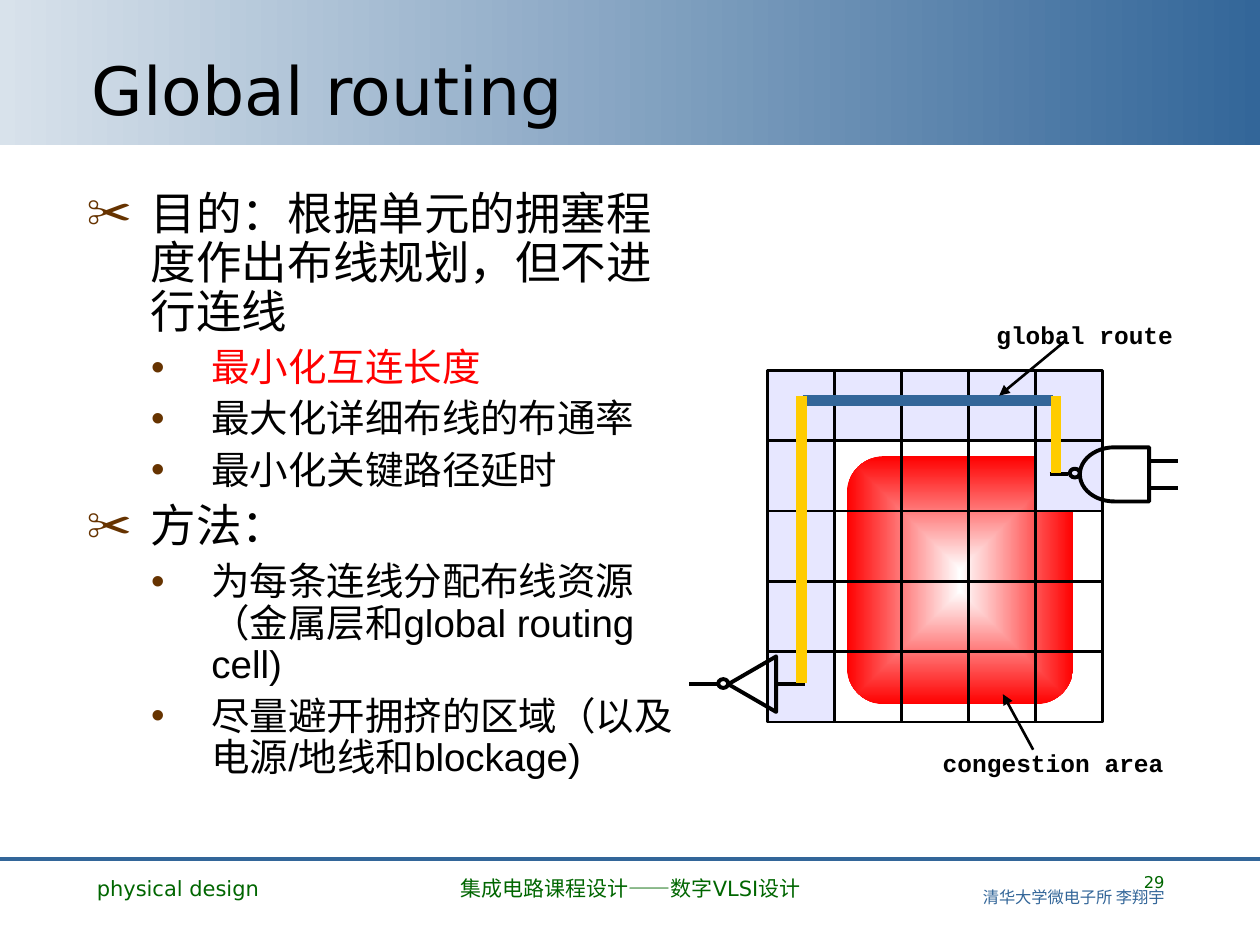
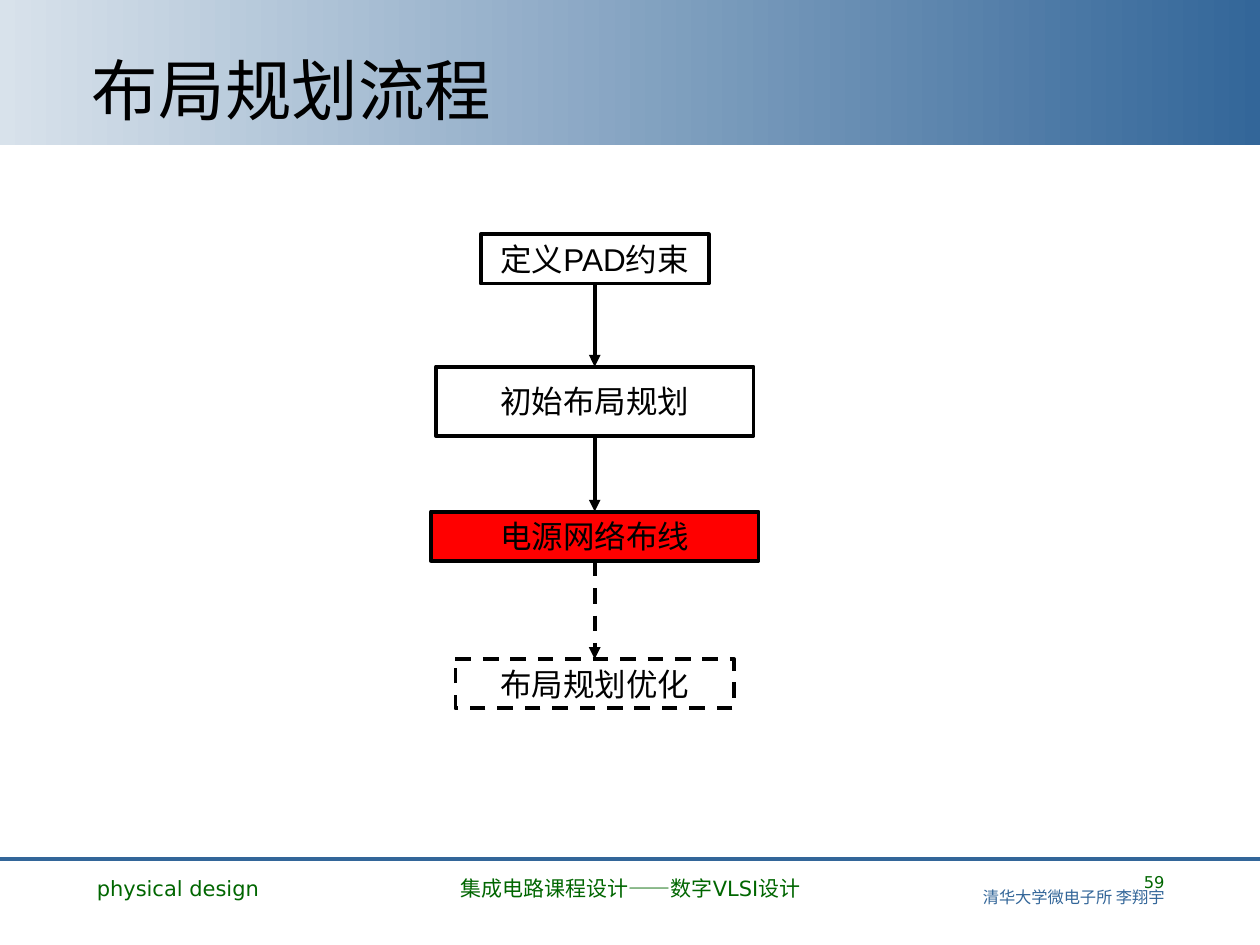
"""Build two slides on physical design: global routing and the floorplan flow."""
import pptx
import pptx.util
import pptx.oxml
import pptx.oxml.ns
import pptx.dml.color
import pptx.enum.dml
import pptx.enum.shapes
import pptx.enum.text
from lxml import etree

Inches, Pt = pptx.util.Inches, pptx.util.Pt
Kind = pptx.enum.shapes.MSO_SHAPE
Align = pptx.enum.text.PP_ALIGN
Anchor = pptx.enum.text.MSO_ANCHOR
Fit = pptx.enum.text.MSO_AUTO_SIZE
Dash = pptx.enum.dml.MSO_LINE.DASH
qn = pptx.oxml.ns.qn

HUES = {
    "black": "000000", "white": "FFFFFF", "red": "FF0000", "blue": "336699",
    "pale": "D8E2EB", "green": "006600", "brown": "663300",
    "cell": "E7E7FF", "gold": "FFCC00",
}

FONTS = {
    "title": ("DejaVu Sans", 38, "black"),
    "foot": ("DejaVu Sans", 12, "green"),
    "page": ("DejaVu Sans", 9.3, "green"),
    "author": ("Noto Sans CJK SC", 9.3, "blue"),
    "point": ("Arial", 26, "black"),
    "sub": ("Arial", 22, "black"),
    "key": ("Arial", 22, "red"),
    "step": ("Arial", 18, "black"),
    "label": ("Courier New", 14, "black"),
}

FOOT = [
    ((0.67, 6.9, 2.17, 0.45), "physical design", Align.LEFT),
    ((3.42, 6.9, 3.17, 0.45), "集成电路课程设计——数字VLSI设计", Align.CENTER),
]
AUTHOR = "清华大学微电子所 李翔宇"

POINTS = [
    ("point", "目的：根据单元的拥塞程度作出布线规划，但不进行连线"),
    ("key", "最小化互连长度"),
    ("sub", "最大化详细布线的布通率"),
    ("sub", "最小化关键路径延时"),
    ("point", "方法："),
    ("sub", "为每条连线分配布线资源（金属层和global routing cell)"),
    ("sub", "尽量避开拥挤的区域（以及电源/地线和blockage)"),
]
BULLETS = {"point": ("✂", 0.51, 0.51, 6.5), "sub": ("•", 0.99, 0.48, 5.5)}

GRID = {"left": 6.09, "top": 2.94, "wide": 2.66, "high": 2.79, "count": 5}
GATES = [
    (Kind.FLOWCHART_DELAY, (8.57, 3.55, 0.55, 0.43), 180),
    (Kind.OVAL, (8.49, 3.72, 0.08, 0.07), 0),
    (Kind.OVAL, (5.7, 5.39, 0.08, 0.07), 0),
    (Kind.FLOWCHART_EXTRACT, (5.75, 5.24, 0.44, 0.38), 270),
]
WIRES = [
    ((9.11, 3.66, 9.35, 3.66), "black", 2.25),
    ((9.11, 3.87, 9.35, 3.87), "black", 2.25),
    ((8.33, 3.76, 8.48, 3.76), "black", 2.25),
    ((6.16, 5.43, 6.39, 5.43), "black", 2.25),
    ((5.47, 5.43, 5.7, 5.43), "black", 2.25),
    ((6.37, 3.18, 8.36, 3.18), "blue", 6),
    ((6.36, 5.42, 6.36, 3.14), "gold", 6),
    ((8.38, 3.75, 8.38, 3.14), "gold", 6),
]
LABELS = [
    ("global route", (7.76, 2.49, 1.7, 0.34), (8.45, 2.71, 7.93, 3.14)),
    ("congestion area", (7.31, 5.89, 2.1, 0.34), (8.2, 5.95, 7.96, 5.51)),
]

MID = 4.72
STEPS = [
    ("定义PAD约束", 1.86, 1.81, 0.39, "white", None),
    ("初始布局规划", 2.91, 2.52, 0.55, "white", None),
    ("电源网络布线", 4.06, 2.6, 0.39, "red", None),
    ("布局规划优化", 5.23, 2.21, 0.39, "white", Dash.DASH),
]


def tint(name):
    return pptx.dml.color.RGBColor.from_string(HUES[name])


def dress(thing, **looks):
    for name, value in looks.items():
        setattr(thing, name, value)


def write(para, text, kind, **looks):
    face, size, hue = FONTS[kind]
    run = para.add_run()
    run.text = text
    dress(run.font, name=face, size=Pt(size), **looks)
    run.font.color.rgb = tint(hue)
    east = etree.SubElement(run.font._element, qn("a:ea"))
    east.set("typeface", "Noto Sans CJK SC")


def place(slide, kind, box, fill=None, width=None):
    shape = slide.shapes.add_shape(kind, *map(Inches, box))
    shape.shadow.inherit = False
    if fill:
        shape.fill.solid()
        shape.fill.fore_color.rgb = tint(fill)
    else:
        shape.fill.background()
    if width:
        shape.line.color.rgb = tint("black")
        shape.line.width = Pt(width)
    else:
        shape.line.fill.background()
    return shape


def blend(shape, first, last):
    shape.fill.gradient()
    shape.fill.gradient_angle = 0
    for stop, hue, spot in zip(shape.fill.gradient_stops, (first, last), (0, 1)):
        stop.color.rgb = tint(hue)
        stop.position = spot


def frame(slide, box, **looks):
    text = slide.shapes.add_textbox(*map(Inches, box)).text_frame
    dress(text, **{"word_wrap": True, **looks})
    return text


def draw(slide, ends, hue, width, head=False, dash=None):
    line = slide.shapes.add_connector(
        pptx.enum.shapes.MSO_CONNECTOR.STRAIGHT, *map(Inches, ends))
    line.line.color.rgb = tint(hue)
    line.line.width = Pt(width)
    if dash:
        line.line.dash_style = dash
    if head:
        tail = etree.SubElement(line.line._get_or_add_ln(), qn("a:tailEnd"))
        tail.set("type", "triangle")
    etree.SubElement(line._element.spPr, qn("a:effectLst"))


def start(deck, title, page):
    slide = deck.slides.add_slide(deck.slide_layouts[5])
    band = place(slide, Kind.RECTANGLE, (0, 0, 10, 1.15))
    blend(band, "pale", "blue")
    draw(slide, (0, 6.82, 10, 6.82), "blue", 2.25)
    for box, text, align in FOOT:
        para = frame(slide, box).paragraphs[0]
        para.alignment = align
        write(para, text, "foot")
    corner = frame(slide, (7.17, 6.9, 2.17, 0.45))
    for para, text, kind in ((corner.paragraphs[0], page, "page"),
                             (corner.add_paragraph(), AUTHOR, "author")):
        dress(para, alignment=Align.RIGHT, line_spacing=0.8)
        write(para, text, kind)
    head = slide.shapes.title
    left, top, width, height = map(Inches, (0.63, 0.33, 8.75, 0.74))
    dress(head, left=left, top=top, width=width, height=height)
    dress(head.text_frame, vertical_anchor=Anchor.BOTTOM, auto_size=Fit.NONE)
    para = head.text_frame.paragraphs[0]
    para.alignment = Align.LEFT
    write(para, title, "title")
    slide.shapes._spTree.append(head._element)
    return slide


def list_points(slide):
    body = frame(slide, (0.59, 1.47, 4.96, 5.12))
    for rank, (kind, text) in enumerate(POINTS):
        para = body.add_paragraph() if rank else body.paragraphs[0]
        mark, left, hang, gap = BULLETS["point" if kind == "point" else "sub"]
        props = para._p.get_or_add_pPr()
        props.set("marL", str(Inches(left)))
        props.set("indent", str(-Inches(hang)))
        hue = etree.SubElement(props, qn("a:buClr"))
        etree.SubElement(hue, qn("a:srgbClr")).set("val", HUES["brown"])
        etree.SubElement(props, qn("a:buFont")).set("typeface", "Arial")
        etree.SubElement(props, qn("a:buChar")).set("char", mark)
        para.line_spacing = 0.9
        if rank:
            para.space_before = Pt(gap)
        write(para, text, kind)


def draw_routes(slide):
    jam = place(slide, Kind.ROUNDED_RECTANGLE, (6.72, 3.62, 1.8, 1.97))
    blend(jam, "white", "red")
    grad = jam._element.spPr.find(qn("a:gradFill"))
    grad.remove(grad.find(qn("a:lin")))
    ring = etree.SubElement(grad, qn("a:path"))
    ring.set("path", "rect")
    core = etree.SubElement(ring, qn("a:fillToRect"))
    for side in "ltrb":
        core.set(side, "50000")

    count = GRID["count"]
    wide, high = GRID["wide"] / count, GRID["high"] / count
    for row in range(count):
        for col in range(count):
            used = row == 0 or col == 0 or (row, col) == (1, count - 1)
            box = (GRID["left"] + col * wide, GRID["top"] + row * high, wide, high)
            place(slide, Kind.RECTANGLE, box, "cell" if used else None, 1.5)

    for kind, box, turn in GATES:
        place(slide, kind, box, width=2.25).rotation = turn
    for ends, hue, width in WIRES:
        draw(slide, ends, hue, width)
    for text, box, ends in LABELS:
        draw(slide, ends, "black", 1.5, head=True)
        label = frame(slide, box, word_wrap=False, auto_size=Fit.SHAPE_TO_FIT_TEXT)
        para = label.paragraphs[0]
        para.alignment = Align.CENTER
        write(para, text, "label", bold=True)


def draw_flow(slide):
    base = None
    for text, top, wide, high, fill, dash in STEPS:
        box = (MID - wide / 2, top, wide, high)
        step = place(slide, Kind.FLOWCHART_PROCESS, box, fill, 2.25)
        if dash:
            step.line.dash_style = dash
        dress(step.text_frame, word_wrap=False, vertical_anchor=Anchor.MIDDLE)
        para = step.text_frame.paragraphs[0]
        para.alignment = Align.CENTER
        write(para, text, "step")
        if base:
            draw(slide, (MID, base, MID, top), "black", 2.25, True, dash)
        base = top + high


def main():
    deck = pptx.Presentation()
    dress(deck, slide_width=Inches(10), slide_height=Inches(7.5))
    slide = start(deck, "Global routing", "29")
    list_points(slide)
    draw_routes(slide)
    draw_flow(start(deck, "布局规划流程", "59"))
    deck.save("out.pptx")


if __name__ == "__main__":
    main()
